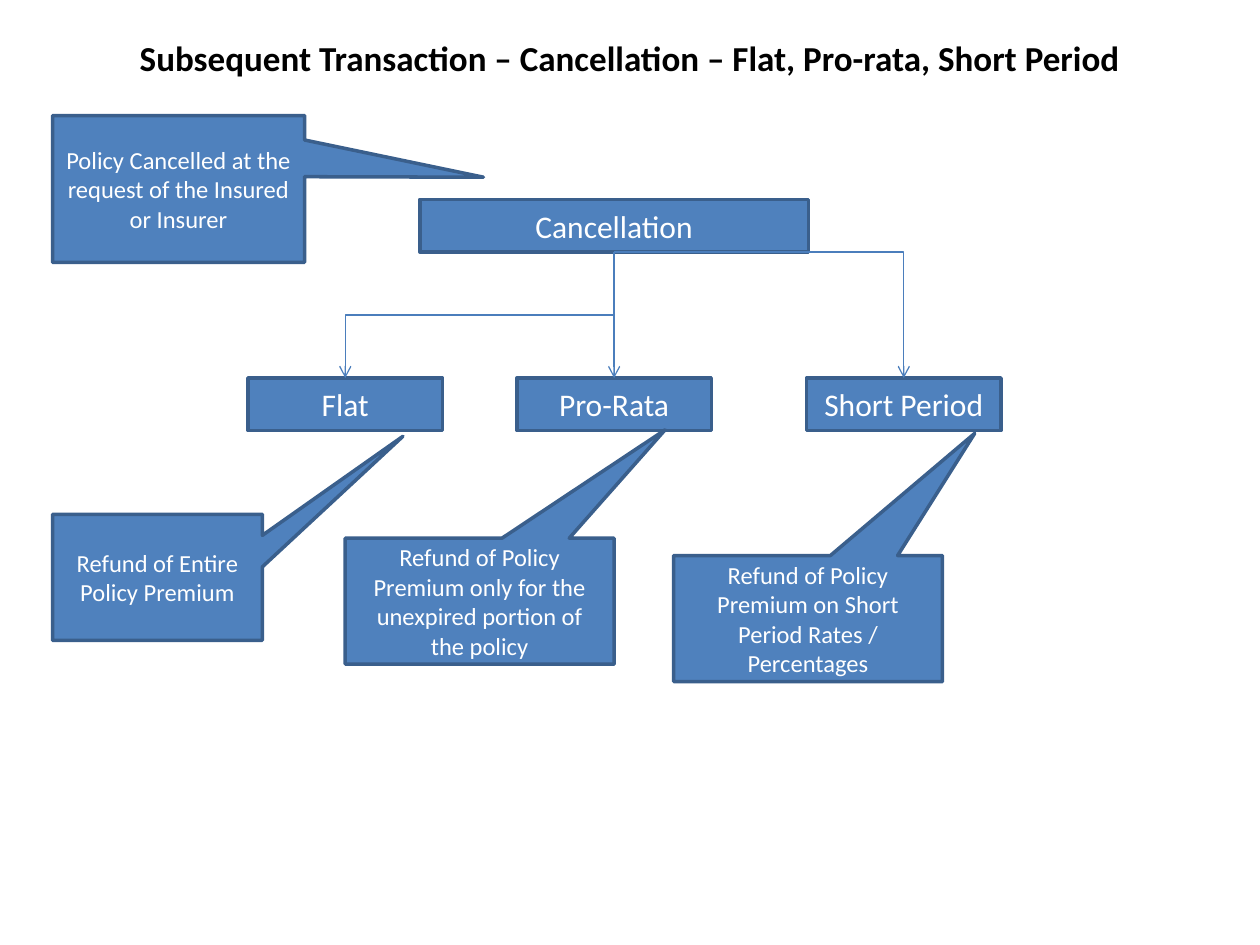
"""Build the policy cancellation slide with its three refund types."""
from lxml import etree
from pptx import Presentation
from pptx import util as u
from pptx.dml.color import RGBColor
from pptx.enum import shapes, text
from pptx.oxml.ns import qn

BLUE = RGBColor(0x4F, 0x81, 0xBD)
OUTLINE = RGBColor(0x3A, 0x5F, 0x8C)
ARROW = RGBColor(0x4B, 0x7E, 0xBC)
WHITE = RGBColor(0xFF, 0xFF, 0xFF)
BLACK = RGBColor(0, 0, 0)
KIND = shapes.MSO_SHAPE
LINK = shapes.MSO_CONNECTOR


def write(shape, wording, size, color, bold=False):
    frame = shape.text_frame
    frame.word_wrap = True
    frame.vertical_anchor = text.MSO_ANCHOR.MIDDLE
    paragraph = frame.paragraphs[0]
    paragraph.alignment = text.PP_ALIGN.CENTER
    run = paragraph.add_run()
    run.text = wording
    run.font.color.rgb = color
    formats = {"name": "Calibri", "size": u.Pt(size), "bold": bold}
    for name, value in formats.items():
        setattr(run.font, name, value)


def add_box(kind, place, wording, size):
    shape = slide.shapes.add_shape(kind, *map(u.Cm, place))
    shape.shadow.inherit = False
    shape.fill.solid()
    shape.fill.fore_color.rgb = BLUE
    shape.line.color.rgb = OUTLINE
    shape.line.width = u.Pt(2)
    write(shape, wording, size, WHITE)
    return shape


presentation = Presentation()
presentation.slide_width = u.Cm(25.4)
presentation.slide_height = u.Cm(19.05)
slide = presentation.slides.add_slide(presentation.slide_layouts[6])

title = slide.shapes.add_textbox(u.Cm(0.42), u.Cm(0.42), u.Cm(24.56), u.Cm(1.48))
write(title, "Subsequent Transaction – Cancellation – Flat, Pro-rata, Short Period", 20, BLACK, True)

center, top, box_height = 12.38, 4.02, 1.06
bottom, row_top = top + box_height, 7.62
root_width, type_width = 7.83, 3.92
add_box(KIND.FLOWCHART_PROCESS, (center - root_width / 2, top, root_width, box_height), "Cancellation", 18)

type_centers = {"Flat": 6.96, "Pro-Rata": center, "Short Period": 18.22}
for wording, middle in type_centers.items():
    place = (middle - type_width / 2, row_top, type_width, box_height)
    add_box(KIND.FLOWCHART_PROCESS, place, wording, 18)

callouts = [
    ((1.06, 2.33, 5.08, 2.96), (1.21, -0.08), "Policy Cancelled at the request of the Insured or Insurer"),
    ((1.06, 10.37, 4.23, 2.54), (1.17, -1.12), "Refund of Entire Policy Premium"),
    ((6.96, 10.85, 5.42, 2.54), (0.69, -1.36), "Refund of Policy Premium only for the unexpired portion of the policy"),
    ((13.58, 11.2, 5.42, 2.54), (0.62, -1.47), "Refund of Policy Premium on Short Period Rates / Percentages"),
]
for place, tip, wording in callouts:
    callout = add_box(KIND.RECTANGULAR_CALLOUT, place, wording, 14)
    for index, value in enumerate(tip):
        callout.adjustments[index] = value

drop = row_top - bottom
flat_center = type_centers["Flat"]
middle_x, middle_y = (center + flat_center) / 2, (bottom + row_top) / 2
reach = (center - flat_center) / 2
arrows = [
    (LINK.ELBOW, (middle_x - drop / 2, middle_y - reach, middle_x + drop / 2, middle_y + reach), "bentConnector3", 90),
    (LINK.STRAIGHT, (center, bottom, center, row_top), "line", 0),
    (LINK.ELBOW, (center, bottom, type_centers["Short Period"], row_top), "bentConnector2", 0),
]
for kind, ends, preset, degrees in arrows:
    arrow = slide.shapes.add_connector(kind, *map(u.Cm, ends))
    arrow.line.color.rgb = ARROW
    arrow.line.width = u.Pt(0.75)
    properties = arrow._element.spPr
    properties.find(qn("a:prstGeom")).set("prst", preset)
    properties.find(qn("a:xfrm")).set("rot", str(degrees * 60000))
    etree.SubElement(properties.find(qn("a:ln")), qn("a:tailEnd"), type="arrow")
    etree.SubElement(properties, qn("a:effectLst"))

presentation.save("out.pptx")
